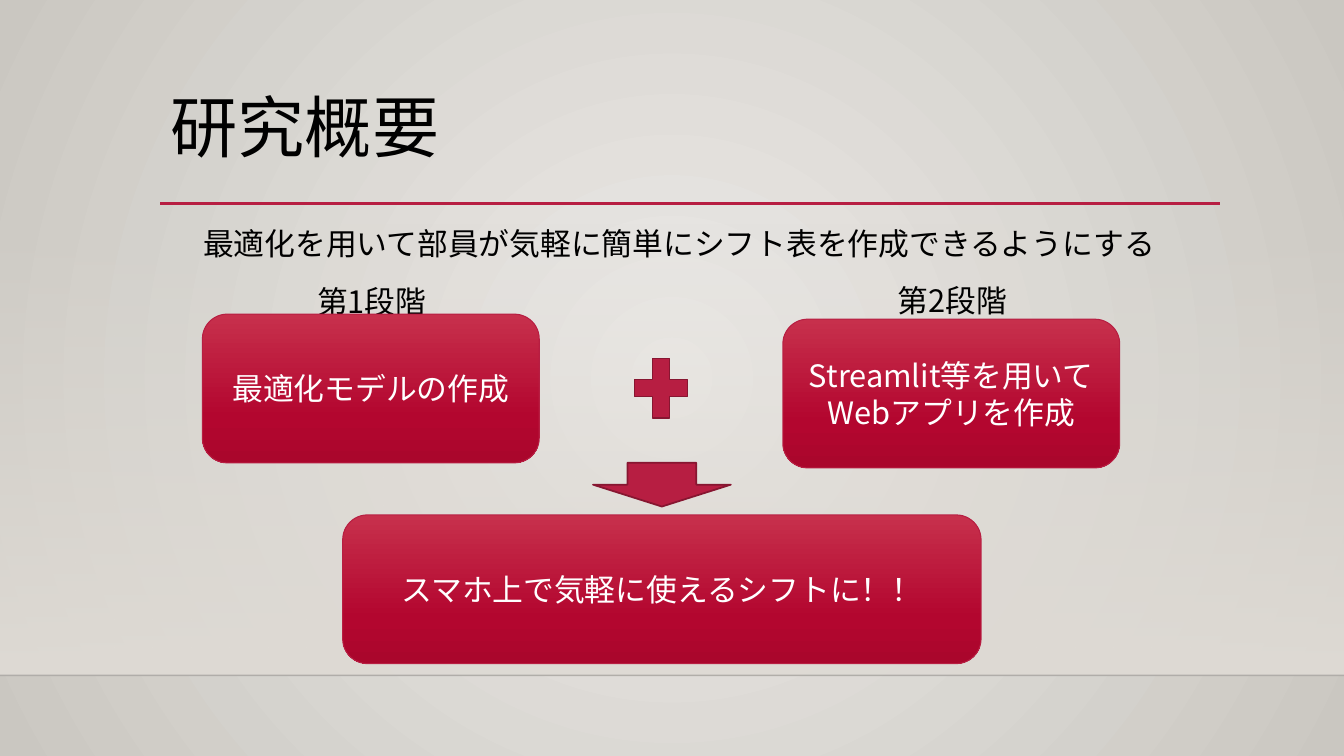
from lxml import etree
from pptx import Presentation
from pptx.dml.color import RGBColor
from pptx.enum.shapes import MSO_CONNECTOR, MSO_SHAPE
from pptx.enum.text import MSO_ANCHOR, PP_ALIGN
from pptx.oxml import parse_xml
from pptx.oxml.ns import qn
from pptx.util import Inches, Pt

ROUNDED, PLUS, ARROW = MSO_SHAPE.ROUNDED_RECTANGLE, MSO_SHAPE.MATH_PLUS, MSO_SHAPE.DOWN_ARROW
LEFT, CENTER = PP_ALIGN.LEFT, PP_ALIGN.CENTER
TOP, MIDDLE = MSO_ANCHOR.TOP, MSO_ANCHOR.MIDDLE
FONT = "Noto Sans CJK JP"
CRIMSON, BLACK, WHITE = "B71E42", "000000", "FFFFFF"
NAMESPACE = "http://schemas.openxmlformats.org/drawingml/2006/main"
DOWNWARD = '<a:lin ang="5400000" scaled="0"/>'
FROM_CENTER = '<a:path path="circle"><a:fillToRect l="50000" t="50000" r="50000" b="50000"/></a:path>'

deck = Presentation()
deck.slide_width, deck.slide_height = Inches(13.333), Inches(7.5)
page = deck.slides.add_slide(deck.slide_layouts[5])

# Grid of 160 columns by 90 rows
COLUMN, ROW = deck.slide_width / 160, deck.slide_height / 90


def set_gradient(fill, parent, stops, direction):
    """Stops are (position in percent, colour, opacity in percent)."""
    fill.gradient()
    marks = "".join(
        f'<a:gs pos="{place * 1000}"><a:srgbClr val="{color}">'
        f'<a:alpha val="{opacity * 1000}"/></a:srgbClr></a:gs>'
        for place, color, opacity in stops)
    gradient = parse_xml(f'<a:gradFill xmlns:a="{NAMESPACE}" rotWithShape="1">'
                         f'<a:gsLst>{marks}</a:gsLst>{direction}</a:gradFill>')
    parent.replace(parent.find(qn("a:gradFill")), gradient)


def write(box, text, size, color, align, anchor, spacing=1.0):
    frame = box.text_frame
    frame.word_wrap, frame.vertical_anchor = True, anchor
    para = frame.paragraphs[0]
    para.alignment, para.line_spacing = align, spacing
    span = para.add_run()
    span.text = text
    span.font.name, span.font.size = FONT, Pt(size)
    span.font.color.rgb = RGBColor.from_string(color)
    etree.SubElement(span.font._element, qn("a:ea")).set("typeface", FONT)


# Background, lit from the centre
background = page.background.fill
background.gradient()
set_gradient(background, page._element.cSld.find(qn("p:bg")).find(qn("p:bgPr")),
             [(0, "ECEAE7", 100), (100, "CAC7C1", 100)], FROM_CENTER)

# Wall fading in towards the floor
wall = page.shapes.add_shape(MSO_SHAPE.RECTANGLE, 0, int(26.5 * ROW),
                             deck.slide_width, int(53.9 * ROW))
wall.shadow.inherit = False
wall.line.fill.background()
set_gradient(wall.fill, wall._element.spPr,
             [(0, "DFDBD5", 0), (100, "DFDBD5", 100)], DOWNWARD)

# Floor edge and title rule: start column, end column, row, colour, width, opacity
for start, end, row, color, width, opacity in [
        (0, 160, 80.4, "000001", 1, 20),
        (19.1, 145.2, 24.2, CRIMSON, 2.5, 100)]:
    rule = page.shapes.add_connector(MSO_CONNECTOR.STRAIGHT, int(start * COLUMN), int(row * ROW),
                                     int(end * COLUMN), int(row * ROW))
    rule.line.color.rgb, rule.line.width = RGBColor.from_string(color), Pt(width)
    etree.SubElement(rule._element.spPr, qn("a:effectLst"))
    shade = next(rule._element.spPr.iter(qn("a:srgbClr")))
    etree.SubElement(shade, qn("a:alpha")).set("val", str(opacity * 1000))

# Title
title = page.shapes.title
title.left, title.top = int(19.1 * COLUMN), int(10.6 * ROW)
title.width, title.height = int(126 * COLUMN), int(13.8 * ROW)
write(title, "研究概要", 48, BLACK, LEFT, TOP, 0.9)

# Aim and stage labels: column, row, columns wide, text, alignment, line spacing
for column, row, wide, text, align, spacing in [
        (23, 26.2, 128, "最適化を用いて部員が気軽に簡単にシフト表を作成できるようにする", LEFT, 1),
        (35.2, 32.6, 18.1, "第1段階", CENTER, 1.1),
        (104.3, 33, 18.1, "第2段階", CENTER, 1)]:
    label = page.shapes.add_textbox(int(column * COLUMN), int(row * ROW),
                                    int(wide * COLUMN), int(5.6 * ROW))
    write(label, text, 22, BLACK, align, TOP, spacing)

# Plus sign and arrow between the stages and the result
for symbol, column, row, wide, high in [(PLUS, 74.4, 41.4, 8.6, 9.6),
                                        (ARROW, 70.6, 55.1, 16.4, 5.2)]:
    sign = page.shapes.add_shape(symbol, int(column * COLUMN), int(row * ROW),
                                 int(wide * COLUMN), int(high * ROW))
    sign.shadow.inherit = False
    sign.fill.solid()
    sign.fill.fore_color.rgb = RGBColor.from_string(CRIMSON)
    sign.line.color.rgb, sign.line.width = RGBColor.from_string("871631"), Pt(1.25)

# Stages and result
for column, row, wide, text in [
        (24.1, 37.4, 40.1, "最適化モデルの作成"),
        (93.2, 38, 40.1, "Streamlit等を用いてWebアプリを作成"),
        (40.8, 61.3, 76, "スマホ上で気軽に使えるシフトに！！")]:
    card = page.shapes.add_shape(ROUNDED, int(column * COLUMN), int(row * ROW),
                                 int(wide * COLUMN), int(17.7 * ROW))
    card.shadow.inherit = False
    set_gradient(card.fill, card._element.spPr,
                 [(0, "C7304C", 100), (69, "B3062F", 100), (100, "AA062C", 100)], DOWNWARD)
    card.line.color.rgb, card.line.width = RGBColor.from_string(CRIMSON), Pt(0.75)
    write(card, text, 22, WHITE, CENTER, MIDDLE)

deck.save("out.pptx")
